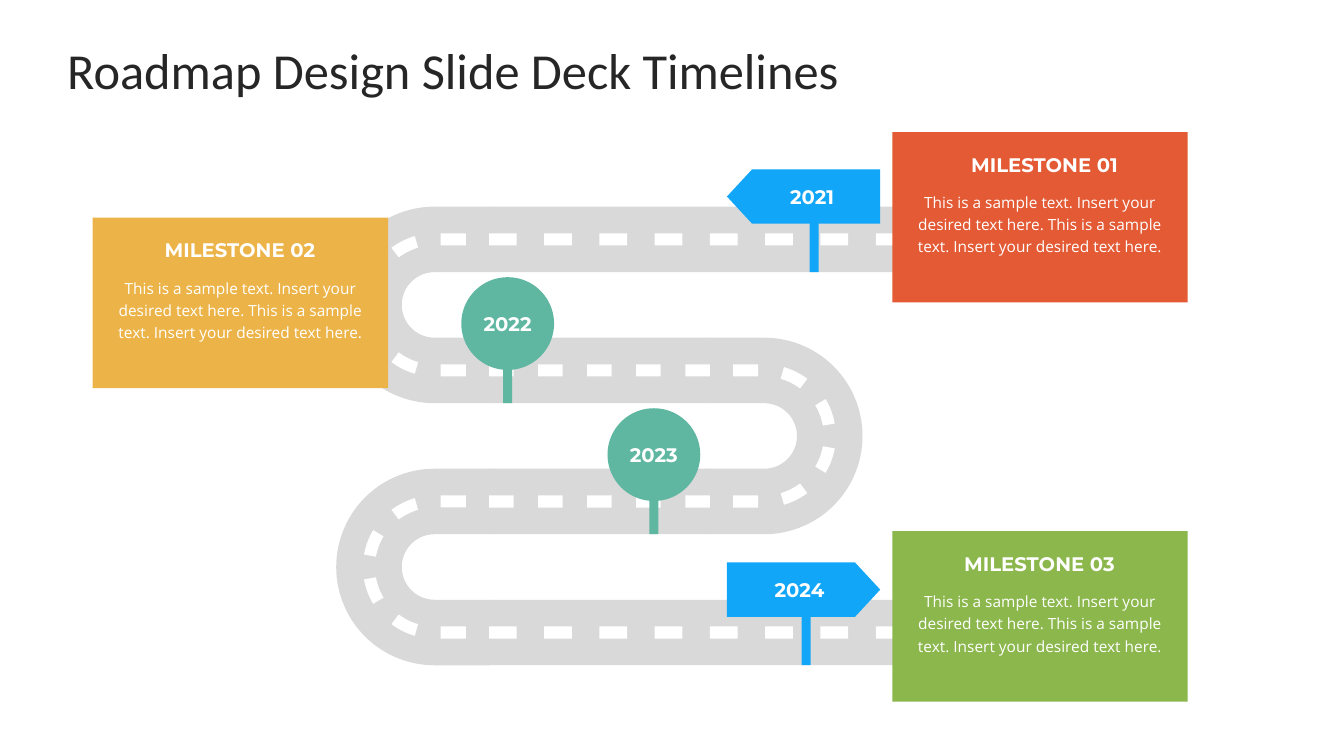
from dataclasses import dataclass
from math import cos, radians, sin

from pptx import Presentation
from pptx.dml.color import RGBColor
from pptx.enum.shapes import MSO_SHAPE
from pptx.enum.text import MSO_ANCHOR, PP_ALIGN
from pptx.util import Emu, Inches, Pt

RECTANGLE, OVAL = MSO_SHAPE.RECTANGLE, MSO_SHAPE.OVAL
TOP, MIDDLE = MSO_ANCHOR.TOP, MSO_ANCHOR.MIDDLE
LEFT, CENTER = PP_ALIGN.LEFT, PP_ALIGN.CENTER
TITLE_ONLY = 5


@dataclass(frozen=True)
class Theme:
    ink: str = "262626"
    white: str = "FFFFFF"
    road: str = "D9D9D9"
    blue: str = "12A6F8"
    teal: str = "5FB7A2"
    orange: str = "E35A35"
    yellow: str = "ECB448"
    green: str = "8BB74C"
    title_font: str = "Calibri"
    label_font: str = "Montserrat"
    body_font: str = "Open Sans"
    title_size: int = 36
    label_size: int = 14
    body_size: int = 11


THEME = Theme()
SLIDE_W, SLIDE_H = 13.33, 7.5

# The road lies on rows one lane high, with a gap of one lane between lanes.
LANE = 0.65
ROAD_TOP = 2.05
ROAD_LEFT, ROAD_TURN, ROAD_END = 4.85, 7.04, 9.07
LEFT_BEND_X, RIGHT_BEND_X = 4.31, 7.58
BEND_ARM = 0.55
DASH_H = 0.12

CARD_W, CARD_H = 2.93, 1.69
POLE_W, POLE_H = 0.09, 0.72
SIGN_W, SIGN_H, SIGN_TIP = 1.52, 0.54, 0.25
SIGN_LEFT, SIGN_RISE = 7.21, 1.02
DISC, DISC_RISE = 0.92, 1.25

SAMPLE = ("This is a sample text. Insert your desired text here. "
          "This is a sample text. Insert your desired text here.")


def lane_top(lane):
    return ROAD_TOP + 2 * LANE * lane


def lane_bottom(lane):
    return lane_top(lane) + LANE


def paint(shape, color):
    shape.fill.solid()
    shape.fill.fore_color.rgb = RGBColor.from_string(color)
    shape.line.fill.background()
    shape.shadow.inherit = False
    return shape


def add_block(slide, kind, left, top, width, height, color):
    box = map(Inches, (left, top, width, height))
    return paint(slide.shapes.add_shape(kind, *box), color)


def add_outline(slide, contours, color):
    """Draw closed contours, given as points in inches, as one freeform."""
    contours = [[(Inches(x), Inches(y)) for x, y in points] for points in contours]
    builder = slide.shapes.build_freeform(*contours[0][0], scale=1.0)
    for number, points in enumerate(contours):
        if number:
            builder.move_to(*points[0])
        builder.add_line_segments(points[1:], close=True)
    return paint(builder.convert_to_shape(), color)


def box_points(left, top, right, bottom):
    return [(left, top), (right, top), (right, bottom), (left, bottom)]


def arc_points(center, side, radius, start, end):
    """Points of an arc; side is -1 or 1, degrees run from the bulge's tip downwards."""
    x, y = center
    steps = max(6, round(abs(end - start) / 3))
    angles = [radians(start + (end - start) * i / steps) for i in range(steps + 1)]
    return [(x + side * radius * cos(a), y + radius * sin(a)) for a in angles]


def write(frame, text, font, size, color, align=CENTER, anchor=MIDDLE, bold=False):
    frame.word_wrap = True
    frame.vertical_anchor = anchor
    paragraph = frame.paragraphs[0]
    paragraph.alignment = align
    run = paragraph.add_run()
    run.text = text
    run.font.name, run.font.size, run.font.bold = font, Pt(size), bold
    run.font.color.rgb = RGBColor.from_string(color)
    return paragraph


def write_label(frame, text):
    write(frame, text, THEME.label_font, THEME.label_size, THEME.white, bold=True)


def add_title(slide, text):
    title = slide.shapes.title
    title.left, title.top = Inches(0.05 * SLIDE_W), Inches(0.04 * SLIDE_H)
    title.width, title.height = Inches(0.9 * SLIDE_W), Inches(0.78)
    frame = title.text_frame
    frame.margin_left = frame.margin_right = Emu(0)
    frame.margin_top = frame.margin_bottom = Inches(0.07)
    write(frame, text, THEME.title_font, THEME.title_size, THEME.ink, LEFT)


def add_lane(slide, lane, right):
    add_block(slide, RECTANGLE, ROAD_LEFT, lane_top(lane), right - ROAD_LEFT, LANE, THEME.road)


def add_lane_dashes(slide, lane, span, count):
    dash = span / (2 * count - 1)
    top = lane_top(lane) + (LANE - DASH_H) / 2
    lefts = [ROAD_LEFT + 2 * dash * i for i in range(count)]
    add_outline(slide, [box_points(x, top, x + dash, top + DASH_H) for x in lefts], THEME.white)


def add_bend(slide, lane, center_x, side):
    """Join a lane to the next one; side -1 bulges left, 1 bulges right."""
    center = center_x, lane_top(lane) + 1.5 * LANE
    arm_x = center_x - side * BEND_ARM
    inner, outer = LANE / 2, 1.5 * LANE
    road = [(arm_x, center[1] - outer), *arc_points(center, side, outer, -90, 90),
            (arm_x, center[1] + outer), (arm_x, center[1] + inner),
            *arc_points(center, side, inner, 90, -90), (arm_x, center[1] - inner)]
    add_outline(slide, [road], THEME.road)

    near, far = LANE - DASH_H / 2, LANE + DASH_H / 2
    dashes = [arc_points(center, side, far, start, start + 21)
              + arc_points(center, side, near, start + 21, start)
              for start in (-74, -31, 10, 53)]
    for y in (center[1] - LANE, center[1] + LANE):
        dashes.append(box_points(center_x - side * 0.06, y - DASH_H / 2,
                                 center_x - side * 0.31, y + DASH_H / 2))
    add_outline(slide, dashes, THEME.white)


def add_pole(slide, lane, left, color):
    add_block(slide, RECTANGLE, left, lane_bottom(lane) - POLE_H, POLE_W, POLE_H, color)


def add_arrow_sign(slide, year, lane, pole_left, points_left, tip_margin):
    add_pole(slide, lane, pole_left, THEME.blue)
    top = lane_bottom(lane) - SIGN_RISE
    tip, tail, inward = SIGN_LEFT + SIGN_W, SIGN_LEFT, -SIGN_TIP
    if points_left:
        tip, tail, inward = tail, tip, SIGN_TIP
    neck = tip + inward
    sign = add_outline(slide, [[(neck, top), (tip, top + SIGN_H / 2), (neck, top + SIGN_H),
                                (tail, top + SIGN_H), (tail, top)]], THEME.blue)
    frame = sign.text_frame
    frame.margin_left = Inches(tip_margin if points_left else 0)
    frame.margin_right = Inches(0 if points_left else tip_margin)
    write_label(frame, year)


def add_disc_sign(slide, year, lane, pole_left):
    add_pole(slide, lane, pole_left, THEME.teal)
    left = pole_left + (POLE_W - DISC) / 2
    disc = add_block(slide, OVAL, left, lane_bottom(lane) - DISC_RISE, DISC, DISC, THEME.teal)
    disc.text_frame.margin_left = disc.text_frame.margin_right = Emu(0)
    write_label(disc.text_frame, year)


def add_card(slide, heading, left, top, color, heading_shift=0):
    add_block(slide, RECTANGLE, left, top, CARD_W, CARD_H, color)
    body = slide.shapes.add_textbox(*map(Inches, (left + 0.11, top + 0.52, 2.71, 0.75)))
    paragraph = write(body.text_frame, SAMPLE, THEME.body_font, THEME.body_size,
                      THEME.white, anchor=TOP)
    paragraph.line_spacing = 1.2
    label_box = (left + 0.23 + heading_shift, top + 0.15, 2.46, 0.34)
    write_label(slide.shapes.add_textbox(*map(Inches, label_box)).text_frame, heading)


def main():
    deck = Presentation()
    deck.slide_width, deck.slide_height = Inches(SLIDE_W), Inches(SLIDE_H)
    slide = deck.slides.add_slide(deck.slide_layouts[TITLE_ONLY])
    add_title(slide, "Roadmap Design Slide Deck Timelines")

    for lane, right in enumerate((ROAD_END, ROAD_TURN, ROAD_TURN, ROAD_END)):
        add_lane(slide, lane, right)
    for lane, (x, side) in enumerate(((LEFT_BEND_X, -1), (RIGHT_BEND_X, 1), (LEFT_BEND_X, -1))):
        add_bend(slide, lane, x, side)
    for lane, (span, count) in enumerate(((4.11, 8), (2.19, 5), (2.19, 5), (4.11, 8))):
        add_lane_dashes(slide, lane, span, count)

    add_card(slide, "MILESTONE 01", 8.85, 1.31, THEME.orange, heading_shift=0.05)
    add_card(slide, "MILESTONE 02", 0.92, 2.16, THEME.yellow)
    add_card(slide, "MILESTONE 03", 8.85, 5.27, THEME.green)
    add_arrow_sign(slide, "2021", 0, 8.03, True, 0.17)
    add_disc_sign(slide, "2022", 1, 4.99)
    add_disc_sign(slide, "2023", 2, 6.44)
    add_arrow_sign(slide, "2024", 3, 7.95, False, 0.08)
    deck.save("out.pptx")


if __name__ == "__main__":
    main()
